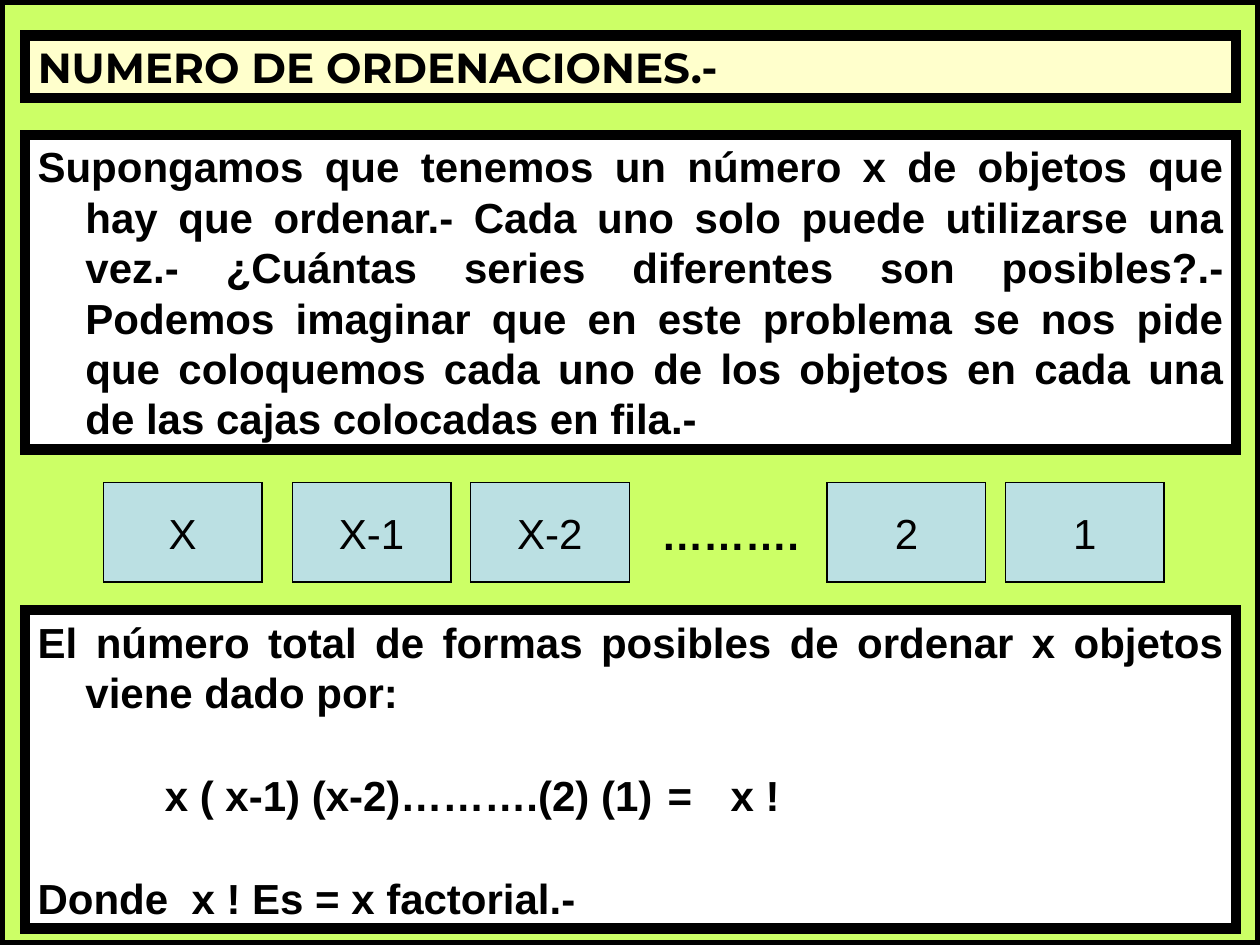
from lxml.etree import SubElement
from pptx import Presentation
from pptx.dml.color import RGBColor
from pptx.enum.shapes import MSO_SHAPE as Shape
from pptx.enum.text import MSO_ANCHOR as Anchor, MSO_AUTO_SIZE as AutoSize, PP_ALIGN as Align
from pptx.oxml.ns import qn
from pptx.util import Inches, Pt


def paint(shape, fill, line_width):
    shape.fill.solid()
    shape.fill.fore_color.rgb = RGBColor.from_string(fill)
    shape.line.color.rgb = RGBColor.from_string("000000")
    shape.line.width = Pt(line_width)
    SubElement(shape.line._get_or_add_ln(), qn("a:miter"), lim="800000")


def write(shape, *texts, font="Arial", bold=True, align=Align.JUSTIFY, anchor=Anchor.TOP,
          wrap=True, margin=0.38, indent=-0.38, gap=0):
    frame = shape.text_frame
    frame.auto_size = AutoSize.NONE
    frame.word_wrap = wrap
    frame.vertical_anchor = anchor
    for number, text in enumerate(texts):
        paragraph = frame.add_paragraph() if number else frame.paragraphs[0]
        paragraph.alignment = align
        paragraph.line_spacing = Pt(28.8)
        paragraph.space_before = Pt(gap if number else 0)
        properties = paragraph._p.get_or_add_pPr()
        properties.set("marL", str(Inches(margin)))
        properties.set("indent", str(Inches(indent)))
        run = paragraph.add_run()
        run.text = text
        run.font.name = font
        run.font.size = Pt(24)
        run.font.bold = bold
        run.font.color.rgb = RGBColor.from_string("000000")
    return frame


presentation = Presentation()
presentation.slide_width, presentation.slide_height = Inches(10), Inches(7.5)
slide = presentation.slides.add_slide(presentation.slide_layouts[5])
shapes = slide.shapes

panel_left, panel_width = Inches(0.2), Inches(9.61)
tile_top, tile_width, tile_height = Inches(3.83), Inches(1.26), Inches(0.79)
column_start, column_pitch = 2.32, 1.415

background = shapes.add_shape(Shape.RECTANGLE, 0, 0, presentation.slide_width, presentation.slide_height)
background.shadow.inherit = False
paint(background, "CCFF66", 6)

title = shapes.title
title._element.addprevious(background._element)
title.left, title.top, title.width, title.height = panel_left, Inches(0.28), panel_width, Inches(0.5)
paint(title, "FFFFCC", 6)
write(title, "NUMERO DE ORDENACIONES.-", font="Montserrat")

problem = (
    "Supongamos que tenemos un número x de objetos que hay que ordenar.- "
    "Cada uno solo puede utilizarse una vez.- ¿Cuántas series diferentes son posibles?.- "
    "Podemos imaginar que en este problema se nos pide que coloquemos cada uno de los objetos "
    "en cada una de las cajas colocadas en fila.-"
)
answer = (
    "El número total de formas posibles de ordenar x objetos viene dado por:",
    "x ( x-1) (x-2)……….(2) (1)\t=\tx !",
    "Donde  x ! Es = x factorial.-",
)
for top, height, texts in ((1.07, 2.5, (problem,)), (4.84, 2.53, answer)):
    panel = shapes.add_shape(Shape.RECTANGLE, panel_left, Inches(top), panel_width, Inches(height))
    panel.shadow.inherit = False
    paint(panel, "FFFFFF", 6)
    panel_text = write(panel, *texts, gap=30)

formula = panel_text.paragraphs[1]
formula.alignment = Align.LEFT
formula_properties = formula._p.get_or_add_pPr()
formula_properties.set("marL", "0")
formula_properties.set("indent", str(Inches(1.01)))
tab_list = SubElement(formula_properties, qn("a:tabLst"))
for position in (5.16, 5.63):
    SubElement(tab_list, qn("a:tab"), pos=str(Inches(position)), algn="l")

tile_lefts = [0.82] + [column_start + column_pitch * column for column in (0, 1, 3, 4)]
for left, label in zip(tile_lefts, ("X", "X-1", "X-2", "2", "1")):
    tile = shapes.add_shape(Shape.RECTANGLE, Inches(left), tile_top, tile_width, tile_height)
    tile.shadow.inherit = False
    paint(tile, "BBE0E3", 0.75)
    write(tile, label, bold=False, align=Align.CENTER, anchor=Anchor.MIDDLE, wrap=False, margin=0, indent=0)

dots = shapes.add_textbox(Inches(column_start + column_pitch * 2), Inches(3.99), Inches(1.34), Inches(0.5))
write(dots, "……….", align=Align.LEFT, margin=0, indent=0)

presentation.save("out.pptx")
